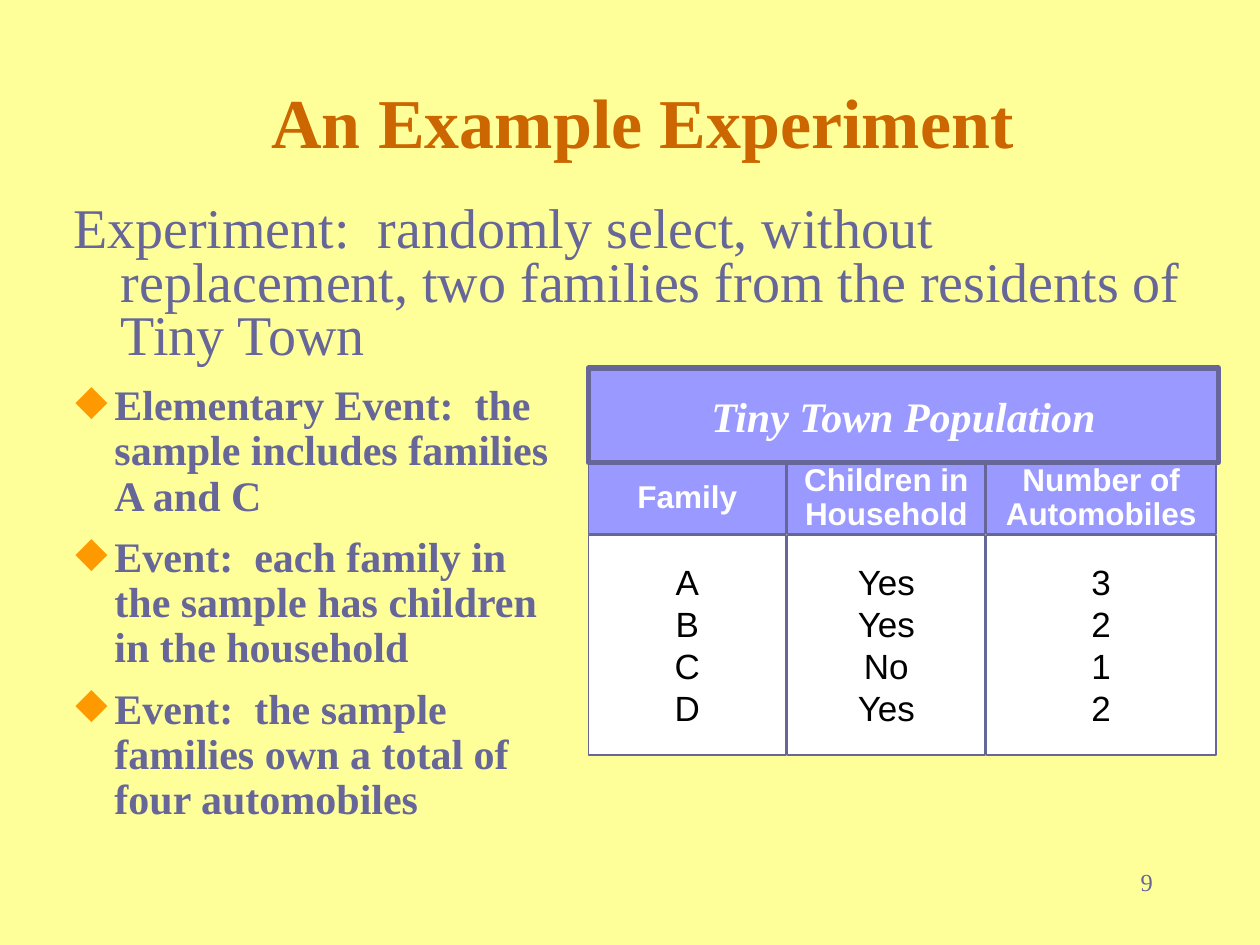
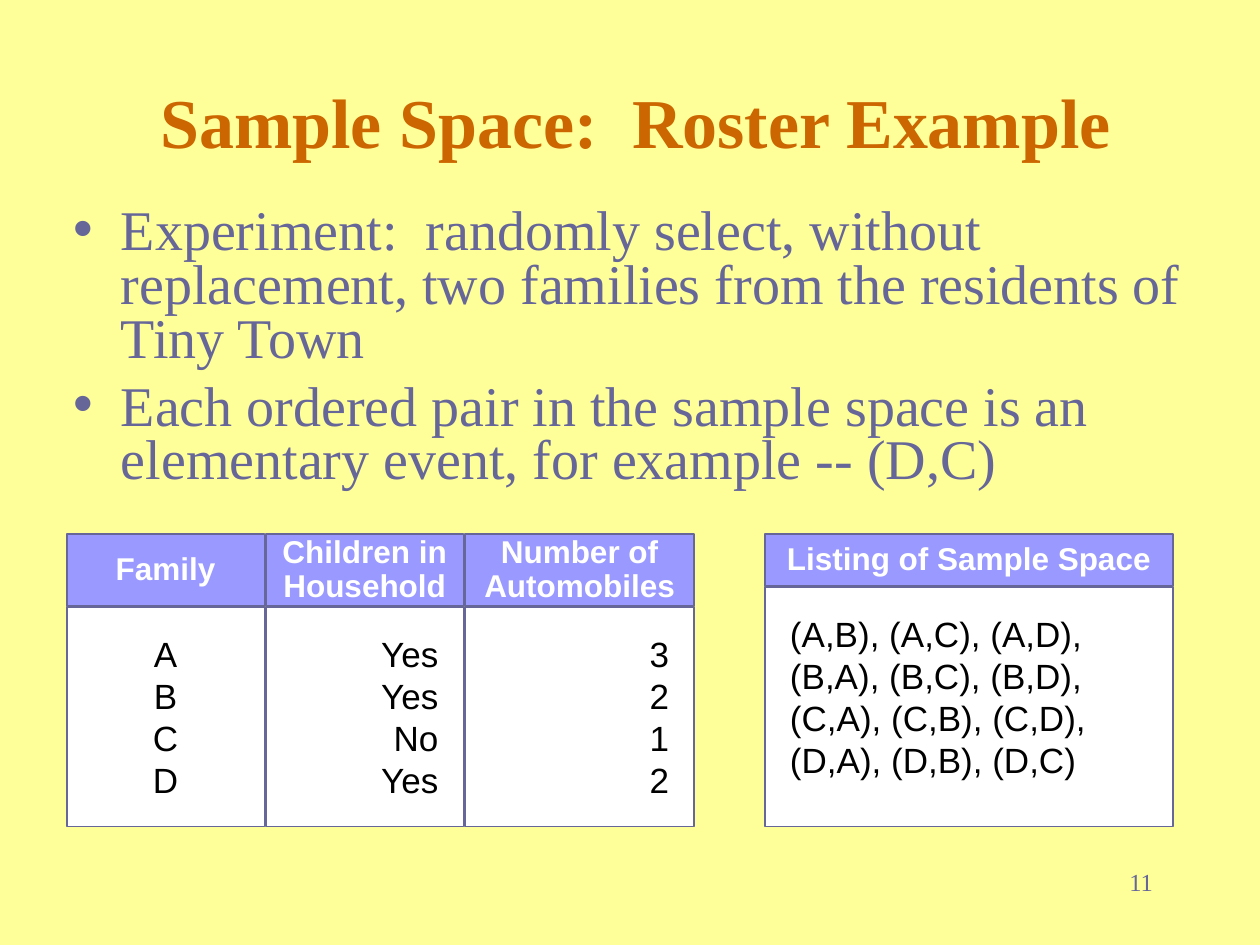
from lxml import etree
from pptx import Presentation
from pptx.dml.color import RGBColor
from pptx.enum.shapes import MSO_SHAPE
from pptx.enum.text import MSO_ANCHOR, MSO_AUTO_SIZE, PP_ALIGN
from pptx.oxml.ns import qn
from pptx.util import Inches, Pt

# Shared colours and fonts
YELLOW = RGBColor(0xFF, 0xFF, 0x99)
RUST = RGBColor(0xCC, 0x66, 0x00)
SLATE = RGBColor(0x66, 0x66, 0x99)
LILAC = RGBColor(0x99, 0x99, 0xFF)
ORANGE = RGBColor(0xFF, 0x99, 0x00)
WHITE = RGBColor(0xFF, 0xFF, 0xFF)
BLACK = RGBColor(0x00, 0x00, 0x00)
SERIF, SANS = "Times New Roman", "Arial"

# Text styles
TITLE = dict(name=SERIF, size=Pt(40), bold=True, color=RUST)
BODY = dict(name=SERIF, size=Pt(32), color=SLATE)
EVENT = dict(name=SERIF, size=Pt(24), bold=True, color=SLATE)
BANNER = dict(name=SERIF, size=Pt(24), bold=True, italic=True, color=WHITE)
HEADER = dict(name=SANS, size=Pt(18), bold=True, color=WHITE)
CELL = dict(name=SANS, size=Pt(20), color=BLACK)
NUMBER = dict(name=SERIF, size=Pt(14), color=SLATE)

# Tiny Town data: header, column width, values
FAMILIES = [
    ("Family", 1.57, ["A", "B", "C", "D"]),
    ("Children in Household", 1.57, ["Yes", "Yes", "No", "Yes"]),
    ("Number of Automobiles", 1.82, ["3", "2", "1", "2"]),
]
EXPERIMENT = ("Experiment:  randomly select, without replacement, "
              "two families from the residents of Tiny Town")
GAP = 0.01
PANEL_HEIGHT = 2.32


class Deck:
    """Holds the presentation style and the current slide."""

    def __init__(self):
        self.prs = Presentation()
        self.prs.slide_width, self.prs.slide_height = Inches(10), Inches(7.5)
        fill = self.prs.slide_master.background.fill
        fill.solid()
        fill.fore_color.rgb = YELLOW

    def new_slide(self, title, number):
        self.s = self.prs.slides.add_slide(self.prs.slide_layouts[1])
        self.place(self.s.shapes.title, 0.42, 0.33, 9.25, 1.25)
        self.set_text(self.s.shapes.title, [title], TITLE,
                      align=PP_ALIGN.CENTER, anchor=MSO_ANCHOR.MIDDLE)
        self.text_box(8.42, 6.83, 0.83, 0.5, [str(number)], NUMBER, align=PP_ALIGN.RIGHT)

    def place(self, sp, *box):
        sp.left, sp.top, sp.width, sp.height = map(Inches, box)

    def bullet(self, p, char, color, indent):
        pPr = p._p.get_or_add_pPr()
        pPr.set("marL", str(Inches(indent)))
        pPr.set("indent", str(-Inches(indent)))
        if char is None:
            etree.SubElement(pPr, qn("a:buNone"))
            return
        buClr = etree.SubElement(pPr, qn("a:buClr"))
        etree.SubElement(buClr, qn("a:srgbClr"), val=str(color))
        etree.SubElement(pPr, qn("a:buChar"), char=char)

    def set_text(self, sp, lines, style, align=PP_ALIGN.LEFT, anchor=MSO_ANCHOR.TOP,
                 spacing=1.0, before=0, bullet=None, margins=(0.1, 0.05), wrap=True):
        tf = sp.text_frame
        tf.auto_size, tf.word_wrap = MSO_AUTO_SIZE.NONE, wrap
        tf.vertical_anchor = anchor
        tf.margin_left = tf.margin_right = Inches(margins[0])
        tf.margin_top = tf.margin_bottom = Inches(margins[1])
        for i, line in enumerate(lines):
            p = tf.add_paragraph() if i else tf.paragraphs[0]
            p.alignment, p.line_spacing = align, spacing
            p.space_before = Pt(before if i else 0)
            if bullet:
                self.bullet(p, *bullet)
            r = p.add_run()
            r.text = line
            for key, value in style.items():
                if key == "color":
                    r.font.color.rgb = value
                else:
                    setattr(r.font, key, value)

    def text_box(self, x, y, w, h, lines, style, **layout):
        sp = self.s.shapes.add_textbox(*map(Inches, (x, y, w, h)))
        self.set_text(sp, lines, style, **layout)

    def body(self, x, y, w, h, lines, char=None):
        sp = self.s.placeholders[1]
        self.place(sp, x, y, w, h)
        self.set_text(sp, lines, BODY, spacing=0.8, before=8, bullet=(char, SLATE, 0.38))

    def box(self, x, y, w, h, fill, lines, style, line_width=1, **layout):
        sp = self.s.shapes.add_shape(MSO_SHAPE.RECTANGLE, *map(Inches, (x, y, w, h)))
        sp.shadow.inherit = False
        sp.fill.solid()
        sp.fill.fore_color.rgb = fill
        sp.line.color.rgb = SLATE
        sp.line.width = Pt(line_width)
        self.set_text(sp, lines, style, **layout)

    def panel(self, x, y, w, header, lines, align, header_height=0.57):
        """A header box with a white box of values below it."""
        self.box(x, y, w, header_height, LILAC, [header], HEADER, spacing=0.9,
                 align=PP_ALIGN.CENTER, anchor=MSO_ANCHOR.MIDDLE)
        offset = header_height + GAP
        self.box(x, y + offset, w, PANEL_HEIGHT - offset, WHITE, lines, CELL,
                 align=align, margins=(0.2, 0.2))

    def family_panels(self, x, y, value_align):
        for i, (header, w, values) in enumerate(FAMILIES):
            self.panel(x, y, w, header, values, value_align if i else PP_ALIGN.CENTER)
            x += w + GAP


def main():
    deck = Deck()

    # Slide 1: the experiment and its events
    deck.new_slide(" An Example Experiment", 9)
    deck.body(0.48, 1.58, 9.17, 5.08, [EXPERIMENT])
    deck.text_box(0.5, 3, 4.08, 3.79, [
        "Elementary Event:  the sample includes families A and C",
        "Event:  each family in the sample has children in the household",
        "Event:  the sample families own a total of four automobiles",
    ], EVENT, spacing=0.9, before=9, bullet=("◆", ORANGE, 0.31))
    deck.family_panels(4.67, 3.67, PP_ALIGN.CENTER)
    deck.box(4.67, 2.92, 5, 0.75, LILAC, ["Tiny Town Population"], BANNER, line_width=3,
             align=PP_ALIGN.CENTER, anchor=MSO_ANCHOR.MIDDLE, wrap=False)

    # Slide 2: the sample space as a roster
    deck.new_slide("Sample Space:  Roster Example", 11)
    deck.body(0.48, 1.6, 9.17, 2.56, [
        EXPERIMENT,
        "Each ordered pair in the sample space is an elementary event, "
        "for example -- (D,C)",
    ], char="•")
    deck.family_panels(0.53, 4.24, PP_ALIGN.RIGHT)
    deck.panel(6.07, 4.24, 3.24, "Listing of Sample Space", [
        "(A,B), (A,C), (A,D),",
        "(B,A), (B,C), (B,D),",
        "(C,A), (C,B), (C,D),",
        "(D,A), (D,B), (D,C)",
    ], PP_ALIGN.LEFT, header_height=0.41)

    deck.prs.save("out.pptx")


if __name__ == "__main__":
    main()
